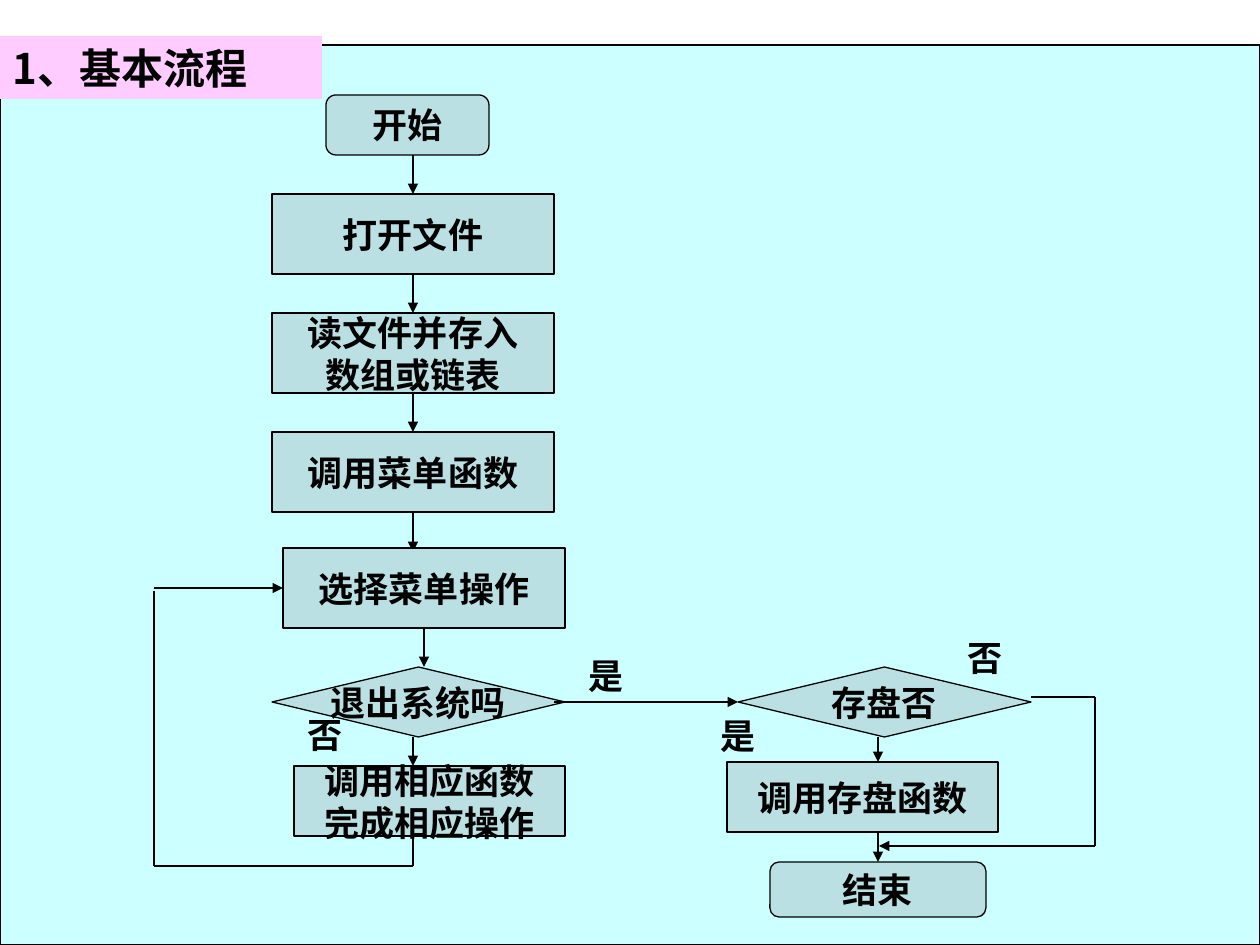
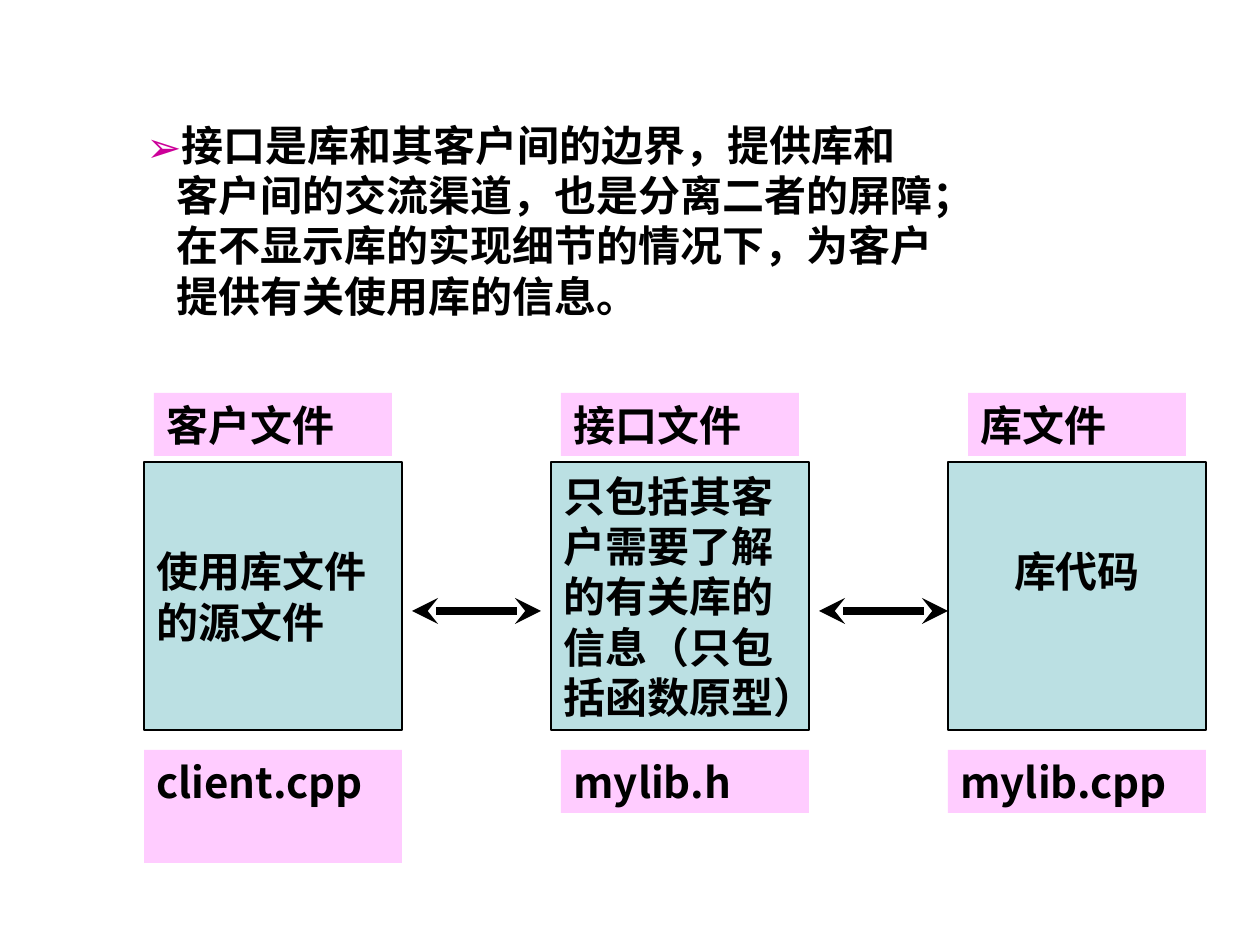
from lxml.etree import SubElement
from pptx import Presentation
from pptx.dml.color import RGBColor
from pptx.enum.shapes import MSO_CONNECTOR, MSO_SHAPE as Shape
from pptx.enum.text import MSO_ANCHOR as Anchor, MSO_AUTO_SIZE, PP_ALIGN as Align
from pptx.oxml.ns import qn
from pptx.util import Pt

EMU_PER_PX = 914400 / 126
FONT = "Noto Sans CJK SC"
BLACK = "000000"
TEAL = "BBE0E3"
PINK = "FFCCFF"
CYAN = "CCFFFF"
MAGENTA = "CC0099"
TOP, LEFT, BOTTOM = 0, 1, 2


def px(length):
    return round(length * EMU_PER_PX)


def color(hex_string):
    return RGBColor.from_string(hex_string)


def write_text(shape, lines, size, align=Align.LEFT, anchor=Anchor.TOP, wrap=True):
    frame = shape.text_frame
    frame.auto_size = MSO_AUTO_SIZE.NONE
    frame.word_wrap = wrap
    frame.vertical_anchor = anchor
    for index, line in enumerate(lines):
        paragraph = frame.paragraphs[0] if index == 0 else frame.add_paragraph()
        paragraph.alignment = align
        run = paragraph.add_run()
        run.text = line
        run.font.name = FONT
        run.font.size = Pt(size)
        run.font.bold = True
        run.font.color.rgb = color(BLACK)
    for latin in list(shape.element.iter(qn("a:latin"))):
        east_asian = SubElement(latin.getparent(), qn("a:ea"), typeface=FONT)
        latin.addnext(east_asian)


def add_box(slide, kind, left, top, width, height, fill, outlined=True):
    shape = slide.shapes.add_shape(kind, px(left), px(top), px(width), px(height))
    shape.shadow.inherit = False
    shape.fill.solid()
    shape.fill.fore_color.rgb = color(fill)
    if outlined:
        shape.line.color.rgb = color(BLACK)
        shape.line.width = Pt(0.75)
    else:
        shape.line.fill.background()
    return shape


def add_step(slide, kind, left, top, width, height, *lines):
    shape = add_box(slide, kind, left, top, width, height, TEAL)
    write_text(shape, lines, 20, Align.CENTER, Anchor.MIDDLE, wrap=False)
    return shape


def add_tag(slide, left, top, width, height, text):
    shape = add_box(slide, Shape.RECTANGLE, left, top, width, height, PINK, outlined=False)
    write_text(shape, [text], 24)


def add_text_box(slide, left, top, width, height, text, size):
    box = slide.shapes.add_textbox(px(left), px(top), px(width), px(height))
    write_text(box, [text], size)
    return box


def add_line(slide, start, end, head=None, tail=None, width=0.75, source=None, target=None):
    points = [px(value) for value in (*start, *end)]
    connector = slide.shapes.add_connector(MSO_CONNECTOR.STRAIGHT, *points)
    connector.line.color.rgb = color(BLACK)
    connector.line.width = Pt(width)
    properties = connector.element.find(qn("p:spPr"))
    outline = properties.find(qn("a:ln"))
    for tag, arrow in (("a:headEnd", head), ("a:tailEnd", tail)):
        if arrow:
            SubElement(outline, qn(tag), type=arrow)
    SubElement(properties, qn("a:effectLst"))
    if source:
        connector.begin_connect(source, BOTTOM)
    if target:
        connector.end_connect(*target)


def add_arrow(slide, start, end, source=None, target=None):
    add_line(slide, start, end, tail="triangle", source=source, target=target)


def add_path(slide, *points):
    for start, end in zip(points, points[1:]):
        add_line(slide, start, end)


def set_title(slide, left, top, width, height, text):
    title = slide.shapes.title
    title.left, title.top, title.width, title.height = map(px, (left, top, width, height))
    title.fill.solid()
    title.fill.fore_color.rgb = color(PINK)
    write_text(title, [text], 24)
    title.element.getparent().append(title.element)


def add_bullet(box, character, hex_string, indent):
    for paragraph in box.element.iter(qn("a:p")):
        properties = paragraph.get_or_add_pPr()
        properties.set("marL", str(px(indent)))
        properties.set("indent", str(-px(indent)))
        bullet_color = SubElement(properties, qn("a:buClr"))
        SubElement(bullet_color, qn("a:srgbClr"), val=hex_string)
        SubElement(properties, qn("a:buFont"), typeface=FONT)
        SubElement(properties, qn("a:buChar"), char=character)


def build_flow_slide(presentation):
    slide = presentation.slides.add_slide(presentation.slide_layouts[5])
    add_box(slide, Shape.RECTANGLE, 0, 45, 1260, 900, CYAN)

    process, decision = Shape.FLOWCHART_PROCESS, Shape.FLOWCHART_DECISION
    terminal = Shape.FLOWCHART_ALTERNATE_PROCESS
    main_x, save_x = 413, 878

    add_step(slide, terminal, 326, 95, 163, 60, "开始")
    early_steps = [["打开文件"], ["读文件并存入", "数组或链表"], ["调用菜单函数"]]
    previous = None
    for index, lines in enumerate(early_steps):
        top = 194 + 119 * index
        step = add_step(slide, process, 272, top, 282, 80, *lines)
        add_arrow(slide, (main_x, top - 39), (main_x, top), previous, (step, TOP))
        previous = step
    add_arrow(slide, (main_x, 512), (main_x, 552), previous)

    choose = add_step(slide, process, 283, 548, 282, 80, "选择菜单操作")
    add_arrow(slide, (424, 628), (424, 667), choose)
    add_step(slide, decision, 272, 667, 293, 70, "退出系统吗")
    add_arrow(slide, (main_x, 737), (main_x, 766))
    add_step(slide, process, 294, 766, 271, 70, "调用相应函数", "完成相应操作")
    add_path(slide, (main_x, 836), (main_x, 866), (154, 866), (154, 591))
    add_arrow(slide, (154, 588), (283, 588), target=(choose, LEFT))

    ask_save = add_step(slide, decision, 738, 667, 293, 70, "存盘否")
    add_arrow(slide, (554, 702), (738, 702), target=(ask_save, LEFT))
    add_arrow(slide, (save_x, 737), (save_x, 762))
    add_step(slide, process, 727, 762, 271, 70, "调用存盘函数")
    finish = add_step(slide, terminal, 770, 862, 216, 55, "结束")
    add_arrow(slide, (save_x, 832), (save_x, 862), target=(finish, TOP))
    add_path(slide, (1031, 697), (1095, 697), (1095, 846))
    add_arrow(slide, (1095, 846), (879, 846))

    answers = [(295, 707, "否"), (576, 648, "是"), (955, 630, "否"), (708, 708, "是")]
    for left, top, answer in answers:
        add_text_box(slide, left, top, 119, 55, answer, 20)
    set_title(slide, 0, 36, 322, 63, "1、基本流程")


def add_file_box(slide, left, lines, align, bottom_inset):
    box = add_box(slide, Shape.RECTANGLE, left, 462, 258, 268, TEAL)
    write_text(box, lines, 24, align, Anchor.MIDDLE, wrap=False)
    box.text_frame.margin_bottom = px(bottom_inset)


def build_interface_slide(presentation):
    slide = presentation.slides.add_slide(presentation.slide_layouts[6])
    definition = add_text_box(
        slide, 134, 113, 814, 214,
        "接口是库和其客户间的边界，提供库和客户间的交流渠道，也是分离二者的屏障；"
        "在不显示库的实现细节的情况下，为客户提供有关使用库的信息。", 24)
    add_bullet(definition, "➢", MAGENTA, 30)

    add_file_box(slide, 144, ["使用库文件", "的源文件"], Align.LEFT, 6)
    add_file_box(slide, 551, ["只包括其客", "户需要了解", "的有关库的", "信息（只包", "括函数原型）"],
                 Align.LEFT, 6)
    add_file_box(slide, 948, ["库代码"], Align.CENTER, 57)

    captions = [(154, 238, "客户文件"), (561, 238, "接口文件"), (968, 218, "库文件")]
    for left, width, text in captions:
        add_tag(slide, left, 393, width, 63, text)
    file_names = [(144, 258, 113, "client.cpp"), (561, 248, 63, "mylib.h"),
                  (948, 258, 63, "mylib.cpp")]
    for left, width, height, text in file_names:
        add_tag(slide, left, 750, width, height, text)
    for left in (412, 819):
        add_line(slide, (left, 611), (left + 129, 611), "stealth", "stealth", 5)


def main():
    presentation = Presentation()
    presentation.slide_width = px(1260)
    presentation.slide_height = px(945)
    build_flow_slide(presentation)
    build_interface_slide(presentation)
    presentation.save("out.pptx")


if __name__ == "__main__":
    main()
